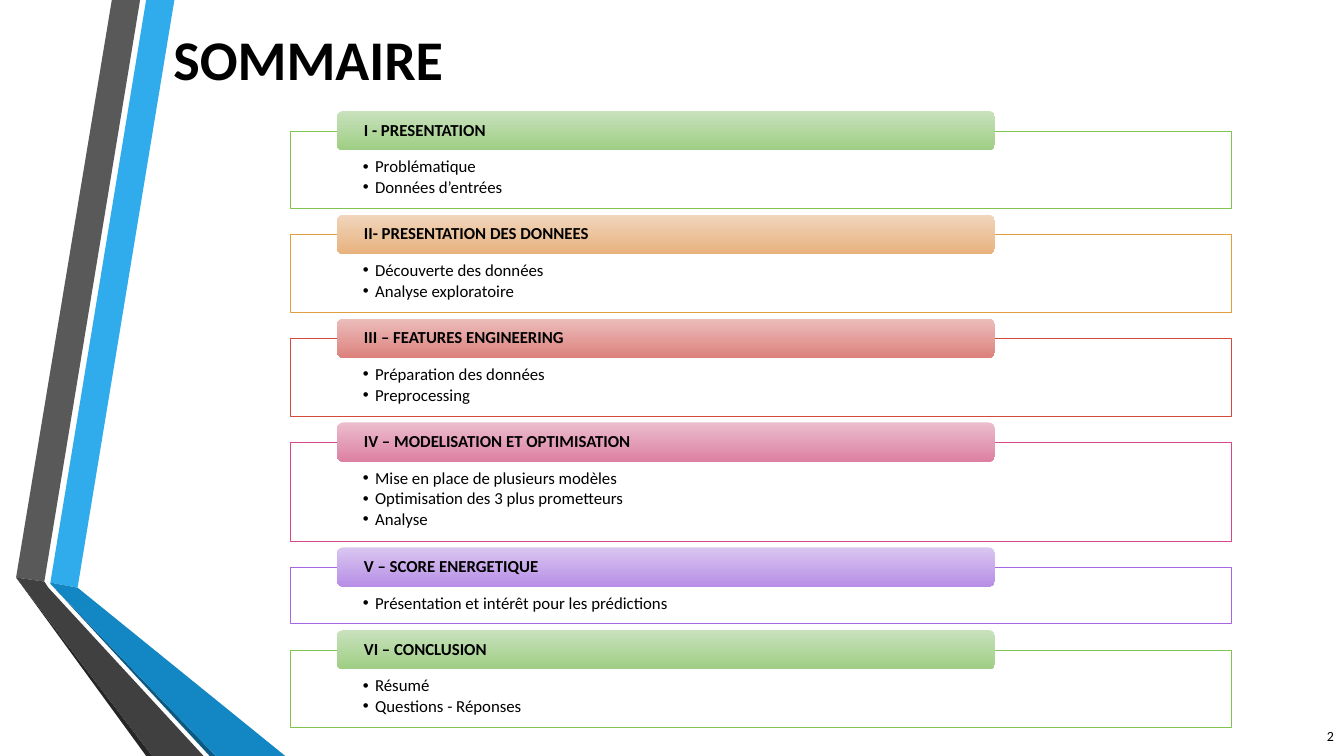
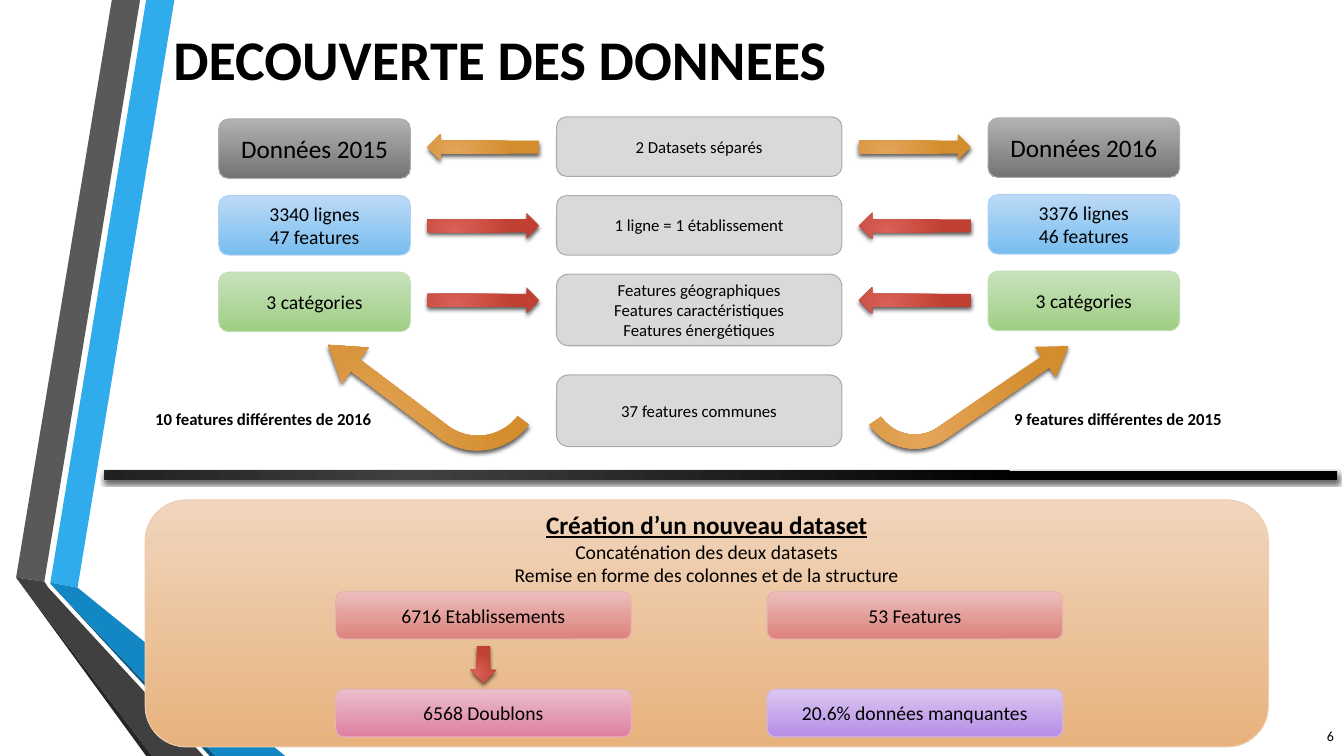
from copy import deepcopy
from dataclasses import dataclass
from typing import Any, NamedTuple

from lxml import etree
from pptx import Presentation
from pptx.dml.color import RGBColor
from pptx.enum.shapes import MSO_SHAPE
from pptx.enum.text import MSO_ANCHOR, MSO_AUTO_SIZE, PP_ALIGN
from pptx.oxml.ns import qn
from pptx.util import Pt

PX = 9144  # EMU per px, 100 px to the inch
RECT, ROUND = MSO_SHAPE.RECTANGLE, MSO_SHAPE.ROUNDED_RECTANGLE
ARROW, BENT = MSO_SHAPE.RIGHT_ARROW, MSO_SHAPE.BENT_ARROW
TOP, MIDDLE = MSO_ANCHOR.TOP, MSO_ANCHOR.MIDDLE
LEFT, CENTER, RIGHT = PP_ALIGN.LEFT, PP_ALIGN.CENTER, PP_ALIGN.RIGHT
FIXED = MSO_AUTO_SIZE.NONE


# Theme
class Paint(NamedTuple):
    start: str
    end: str
    line: str = ""
    frame: str = ""


@dataclass(frozen=True)
class Theme:
    font: str = "Calibri"
    title: int = 40
    heading: int = 18
    body: int = 14
    small: int = 12
    number: int = 10
    text: str = "000000"
    paper: str = "FFFFFF"
    green: Paint = Paint("C9E2BE", "9ECE83", "C0DEB3", "80C34F")
    orange: Paint = Paint("F1D5BD", "E7B27D", "EECCAF", "E29D3E")
    red: Paint = Paint("EBBEBC", "DD817C", "E8B2AF", "D64A3B")
    pink: Paint = Paint("EBBECD", "DD80A2", "E8B1C3", "D64787")
    purple: Paint = Paint("D9C6F1", "B88EE6", "D0B8EE", "A666E1")
    blue: Paint = Paint("BCDAF6", "78BDEF", "AED2F4")
    dark: Paint = Paint("B2B2B2", "737373", "ABABAB")
    grey: Paint = Paint("D9D9D9", "D9D9D9", "ABABAB")
    arrow_red: Paint = Paint("D96157", "C04033")
    arrow_gold: Paint = Paint("E4A559", "D38D2D")
    black: Paint = Paint("404040", "000000")


T = Theme()


class Area(NamedTuple):
    x: int
    y: int
    w: int
    h: int


class Section(NamedTuple):
    title: str
    items: list[str]
    paint: Paint


class Box(NamedTuple):
    area: Area
    lines: list[str]
    paint: Paint
    size: int = T.body


class Arrow(NamedTuple):
    area: Area
    paint: Paint
    turn: float = 0
    kind: Any = ARROW
    adjust: tuple[float, ...] = ()
    flip: bool = False


RIBBON = [
    ("30ACEC", [(50, 578), (77, 583), (173, 0), (145, 0)]),
    ("595959", [(139, 0), (111, 0), (16, 573), (44, 577)]),
    ("262626", [(16, 573), (145, 750), (151, 750)]),
    ("0C5A82", [(50, 579), (208, 750), (214, 750)]),
    ("1287C3", [(50, 578), (50, 579), (214, 750), (283, 750), (77, 583)]),
    ("404040", [(202, 750), (48, 583), (44, 577), (16, 573), (151, 750)]),
]

SECTIONS = [
    Section("I - PRESENTATION", ["Problématique", "Données d’entrées"], T.green),
    Section("II- PRESENTATION DES DONNEES",
            ["Découverte des données", "Analyse exploratoire"], T.orange),
    Section("III – FEATURES ENGINEERING",
            ["Préparation des données", "Preprocessing"], T.red),
    Section("IV – MODELISATION ET OPTIMISATION",
            ["Mise en place de plusieurs modèles",
             "Optimisation des 3 plus prometteurs", "Analyse"], T.pink),
    Section("V – SCORE ENERGETIQUE",
            ["Présentation et intérêt pour les prédictions"], T.purple),
    Section("VI – CONCLUSION", ["Résumé", "Questions - Réponses"], T.green),
]


# Formatting helpers
def rgb(value: str) -> RGBColor:
    return RGBColor.from_string(value)


def scaled(area: Area) -> list[int]:
    return [v * PX for v in area]


def apply(obj: Any, values: dict[str, Any]) -> None:
    for name, value in values.items():
        setattr(obj, name, value)


def place(sp: Any, area: Area) -> None:
    apply(sp, dict(zip(("left", "top", "width", "height"), scaled(area))))


def frame(sp: Any, insets: tuple[int, int, int, int] = (10, 5, 10, 5),
          anchor: Any = MIDDLE, wrap: bool = True) -> None:
    sides = ("margin_left", "margin_top", "margin_right", "margin_bottom")
    values = dict(zip(sides, (v * PX for v in insets)))
    apply(sp.text_frame, values | {"vertical_anchor": anchor, "word_wrap": wrap,
                                   "auto_size": FIXED})


def write(sp: Any, lines: list[str], size: int, align: Any = CENTER,
          bold: bool = False, **para: Any) -> list[Any]:
    tf = sp.text_frame
    for i, line in enumerate(lines):
        p = tf.paragraphs[0] if i == 0 else tf.add_paragraph()
        apply(p, {"alignment": align, **para})
        r = p.add_run()
        r.text = line
        apply(r.font, {"name": T.font, "size": Pt(size), "bold": bold})
        r.font.color.rgb = rgb(T.text)
    return tf.paragraphs


def outline(sp: Any, color: str) -> None:
    if color:
        sp.line.color.rgb = rgb(color)
        sp.line.width = Pt(0.75)
    else:
        sp.line.fill.background()


def fill(sp: Any, paint: Paint) -> None:
    if paint.start == paint.end:
        sp.fill.solid()
        sp.fill.fore_color.rgb = rgb(paint.start)
        return
    sp.fill.gradient()
    sp.fill.gradient_angle = 270
    for stop, color, at in zip(sp.fill.gradient_stops, paint[:2], (0, 1)):
        stop.color.rgb = rgb(color)
        stop.position = at


def add_block(slide: Any, kind: Any, area: Area, paint: Paint, line: str = "") -> Any:
    sp = slide.shapes.add_shape(kind, *scaled(area))
    sp.shadow.inherit = False
    fill(sp, paint)
    outline(sp, line)
    return sp


def add_raised(slide: Any, kind: Any, area: Area, paint: Paint) -> Any:
    """Block with a radial gradient and a soft shadow below."""
    sp = add_block(slide, kind, area, paint)
    pr = sp._element.spPr
    grad = pr.find(qn("a:gradFill"))
    grad.remove(grad.find(qn("a:lin")))
    radial = etree.SubElement(grad, qn("a:path"), path="circle")
    etree.SubElement(radial, qn("a:fillToRect"),
                     l="50000", t="100000", r="100000", b="50000")
    shadow = etree.SubElement(pr.find(qn("a:effectLst")), qn("a:outerShdw"),
                              blurRad="38100", dist="25400", dir="5400000",
                              rotWithShape="0")
    color = etree.SubElement(shadow, qn("a:srgbClr"), val=T.text)
    etree.SubElement(color, qn("a:alpha"), val="64000")
    return sp


# Parts of the slides
def add_ribbon(prs: Any, slide: Any) -> None:
    """Draw the folded ribbon and move it to the slide master."""
    for i, (color, points) in enumerate(RIBBON):
        fb = slide.shapes.build_freeform(*points[0], scale=PX)
        fb.add_line_segments(points[1:], close=True)
        sp = fb.convert_to_shape()
        sp.shadow.inherit = False
        fill(sp, Paint(color, color))
        outline(sp, "")
        sp._element.nvSpPr.cNvPr.set("id", str(100 + i))
        prs.slide_master.shapes._spTree.append(sp._element)


def add_list_holders(layout: Any, count: int) -> None:
    """Give the layout one body placeholder for each list."""
    body = layout.placeholders[1]._element
    for i in range(20, 19 + count):
        el = deepcopy(body)
        el.nvSpPr.cNvPr.set("id", str(i))
        el.find(".//" + qn("p:ph")).set("idx", str(i))
        layout.shapes._spTree.append(el)


def add_text(slide: Any, area: Area, text: str, size: int, anchor: Any = TOP,
             wrap: bool = True, **style: Any) -> None:
    sp = slide.shapes.add_textbox(*scaled(area))
    frame(sp, anchor=anchor, wrap=wrap)
    write(sp, [text], size, **style)


def add_heading(slide: Any, title: str, number: int) -> None:
    sp = slide.shapes.title
    place(sp, Area(162, 0, 1096, 116))
    frame(sp)
    write(sp, [title], T.title, LEFT, True)
    add_text(slide, Area(1273, 710, 60, 40), str(number), T.number,
             align=RIGHT, anchor=MIDDLE)


def add_section(slide: Any, body: Any, top: int, section: Section) -> int:
    """Draw one framed list under its bar and return its bottom edge."""
    height = 35 + 21 * len(section.items)
    place(body, Area(288, top, 933, height))
    fill(body, Paint(T.paper, T.paper))
    outline(body, section.paint.frame)
    frame(body, (72, 27, 72, 9), TOP)
    for p in write(body, section.items, T.small, LEFT, line_spacing=0.9,
                   space_before=Pt(0), space_after=Pt(1.8)):
        pr = p._p.get_or_add_pPr()
        pr.attrib.update({"marL": str(12 * PX), "indent": str(-12 * PX)})
        etree.SubElement(pr, qn("a:buChar"), char="•")
    bar = add_block(slide, ROUND, Area(334, top - 20, 653, 39), section.paint)
    frame(bar, (25, 0, 25, 0))
    write(bar, [section.title], T.small, LEFT, True, line_spacing=0.9)
    return top + height


def add_box(slide: Any, box: Box) -> None:
    sp = add_block(slide, ROUND, box.area, box.paint, box.paint.line)
    frame(sp)
    write(sp, box.lines, box.size)


def add_arrow(slide: Any, arrow: Arrow) -> None:
    sp = add_raised(slide, arrow.kind, arrow.area, arrow.paint)
    sp.rotation = arrow.turn
    for i, value in enumerate(arrow.adjust):
        sp.adjustments[i] = value
    if arrow.flip:
        sp._element.spPr.find(qn("a:xfrm")).set("flipV", "1")


# Slides
def build_summary(slide: Any) -> None:
    add_heading(slide, "SOMMAIRE", 2)
    bodies = list(slide.placeholders)[1:]
    top = 130
    for body, section in zip(bodies, SECTIONS):
        top = add_section(slide, body, top, section) + 26


def build_discovery(slide: Any) -> None:
    add_heading(slide, "DECOUVERTE DES DONNEES", 6)

    # Side columns: one per year
    years = [(217, 118, "2015", "3340", "47"), (980, 117, "2016", "3376", "46")]
    for x, top, year, rows, features in years:
        cells = [([f"Données {year}"], T.dark, T.heading),
                 ([f"{rows} lignes", f"{features} features"], T.blue, T.body),
                 (["3 catégories"], T.green, T.body)]
        for i, cell in enumerate(cells):
            add_box(slide, Box(Area(x, top + 76 * i, 190, 59), *cell))

    # Middle column
    middle = [(116, 59, ["2 Datasets séparés"]), (194, 59, ["1 ligne = 1 établissement"]),
              (272, 71, ["Features géographiques", "Features caractéristiques",
                         "Features énergétiques"]),
              (372, 71, ["37 features communes"])]
    for y, h, lines in middle:
        add_box(slide, Box(Area(552, y, 283, h), lines, T.grey, T.small))

    # Arrows between the columns
    for y, paint, turns in [(133, T.arrow_gold, (180, 0)), (211, T.arrow_red, (0, 180)),
                            (285, T.arrow_red, (0, 180))]:
        for x, turn in zip((424, 852), turns):
            add_arrow(slide, Arrow(Area(x, y, 111, 26), paint, turn))
    tail = (0.28, 0.428, 0.828)
    add_arrow(slide, Arrow(Area(315, 351, 207, 79), T.arrow_gold, 217, BENT,
                           (0.185, *tail)))
    add_arrow(slide, Arrow(Area(863, 357, 207, 66), T.arrow_gold, 325.5, BENT,
                           (0.208, *tail), True))
    for x, w, text in [(144, 250, "10 features différentes de 2016"),
                       (996, 241, "9 features différentes de 2015")]:
        add_text(slide, Area(x, 401, w, 30), text, T.small, align=LEFT, bold=True,
                 wrap=False)

    # Divider and panel of the new dataset
    add_raised(slide, RECT, Area(104, 467, 1222, 9), T.black)
    panel = add_block(slide, ROUND, Area(144, 496, 1114, 245), T.orange, T.orange.line)
    frame(panel, (10, 0, 10, 150))
    lines = write(panel, ["Création d’un nouveau dataset", "Concaténation des deux datasets",
                          "Remise en forme des colonnes et de la structure"], T.body)
    apply(lines[0].runs[0].font, {"size": Pt(T.heading), "bold": True, "underline": True})
    for x, y, text, paint in [(333, 587, "6716 Etablissements", T.red),
                              (761, 587, "53 Features", T.red),
                              (333, 684, "6568 Doublons", T.pink),
                              (761, 684, "20.6% données manquantes", T.purple)]:
        add_box(slide, Box(Area(x, y, 293, 47), [text], paint))
    add_arrow(slide, Arrow(Area(461, 646, 37, 26), T.arrow_red, 90))


def main() -> None:
    prs = Presentation()
    prs.slide_width, prs.slide_height = 1333 * PX, 750 * PX
    lists, title_only = prs.slide_layouts[1], prs.slide_layouts[5]
    add_list_holders(lists, len(SECTIONS))
    summary = prs.slides.add_slide(lists)
    add_ribbon(prs, summary)
    build_summary(summary)
    build_discovery(prs.slides.add_slide(title_only))
    prs.save("out.pptx")


if __name__ == "__main__":
    main()
